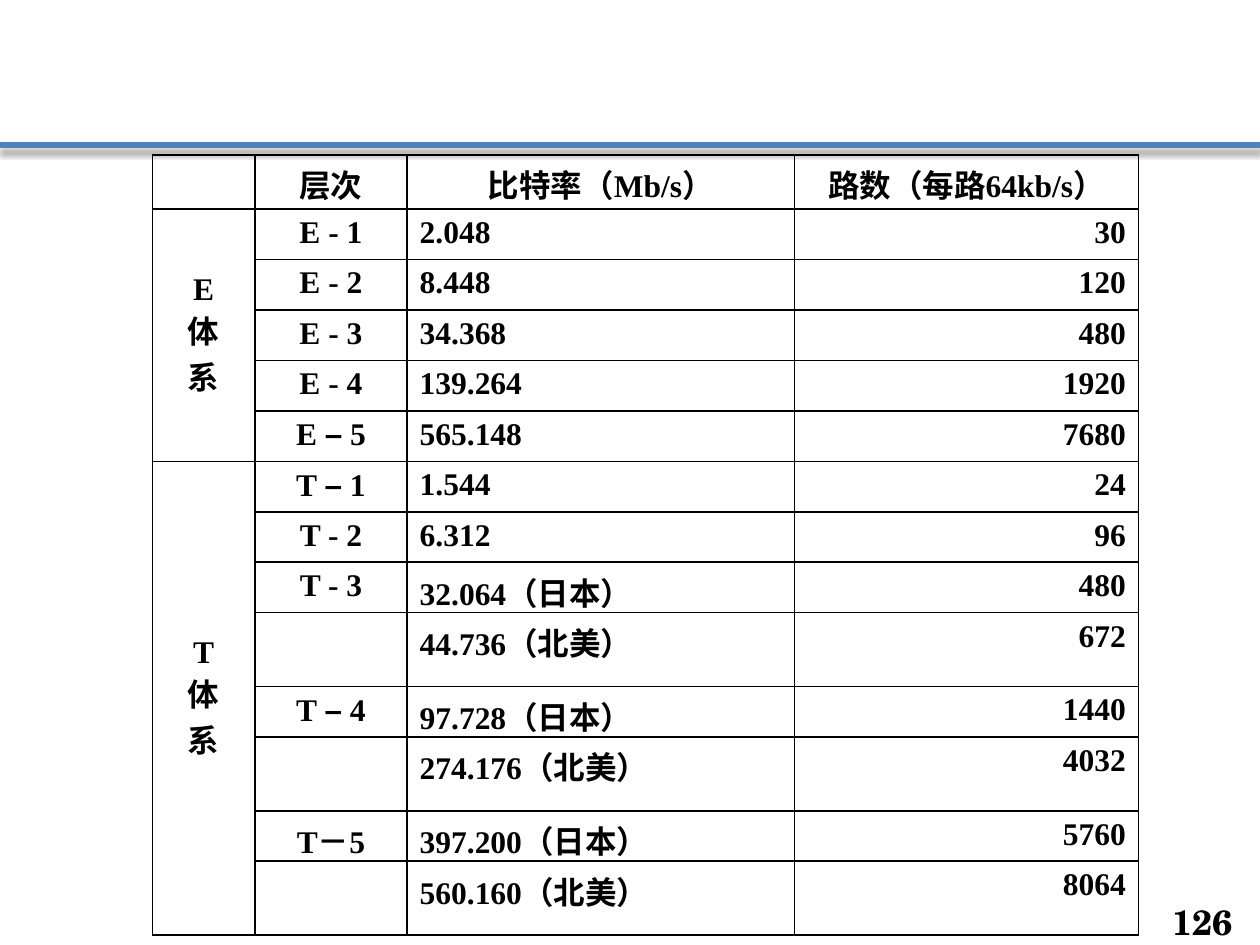
from lxml import etree
from pptx import Presentation
from pptx import util as u
from pptx.dml.color import RGBColor
from pptx.enum import shapes, text
from pptx.oxml import ns

Pt = u.Pt
COLORS = {"ink": "000000", "rule": "4F81BD"}
BODY_FONT, DASH_FONT, NUMBER_FONT = "Times New Roman", "Arial", "TeX Gyre Schola"
LEFT, CENTER, RIGHT = (text.PP_ALIGN.LEFT, text.PP_ALIGN.CENTER,
                       text.PP_ALIGN.RIGHT)

HEADINGS = ["层次", "比特率（Mb/s）", "路数（每路64kb/s）"]
# Each system: its letter, then level, bit rate and channel count per row
SYSTEMS = [
    ("E", [
        ("E - 1", "2.048", "30"),
        ("E - 2", "8.448", "120"),
        ("E - 3", "34.368", "480"),
        ("E - 4", "139.264", "1920"),
        ("E – 5", "565.148", "7680"),
    ]),
    ("T", [
        ("T – 1", "1.544", "24"),
        ("T - 2", "6.312", "96"),
        ("T - 3", "32.064（日本）", "480"),
        ("", "44.736（北美）", "672"),
        ("T – 4", "97.728（日本）", "1440"),
        ("", "274.176（北美）", "4032"),
        ("T－5", "397.200（日本）", "5760"),
        ("", "560.160（北美）", "8064"),
    ]),
]
COLUMN_WIDTHS = [58.5, 87, 221.25, 196.5]
HEADER_HEIGHT, ROW_HEIGHT, TALL_HEIGHT = 31, 25.2, 42.2


def color(name):
    return RGBColor.from_string(COLORS[name])


def add_span(para, words, font, size):
    span = para.add_run()
    span.text = words
    span.font.name = font
    span.font.size = Pt(size)
    span.font.bold = True
    span.font.color.rgb = color("ink")


def write_cell(cell, lines, align):
    frame = cell.text_frame
    for index, line in enumerate(lines):
        para = frame.add_paragraph() if index else frame.paragraphs[0]
        para.alignment = align
        before, dash, after = line.partition("–")
        for words, font in ((before, BODY_FONT), (dash, DASH_FONT),
                            (after, BODY_FONT)):
            if words:
                add_span(para, words, font, 18)


def outline_cell(cell):
    props = cell._tc.get_or_add_tcPr()
    for side in ("lnL", "lnR", "lnT", "lnB"):
        edge = etree.SubElement(props, ns.qn(f"a:{side}"), w=str(Pt(1)))
        fill = etree.SubElement(edge, ns.qn("a:solidFill"))
        etree.SubElement(fill, ns.qn("a:srgbClr"), val=COLORS["ink"])
    cell.fill.background()


def add_rule(page, left, top, width):
    rule = page.shapes.add_connector(shapes.MSO_CONNECTOR.STRAIGHT, Pt(left),
                                     Pt(top), Pt(left + width), Pt(top))
    rule.line.color.rgb = color("rule")
    rule.line.width = Pt(3)
    # Soft shadow straight below the line
    effects = etree.SubElement(rule._element.spPr, ns.qn("a:effectLst"))
    shadow = etree.SubElement(effects, ns.qn("a:outerShdw"),
                              blurRad=str(Pt(4)), dist=str(Pt(3)),
                              dir="5400000", rotWithShape="0")
    tint = etree.SubElement(shadow, ns.qn("a:srgbClr"), val=COLORS["ink"])
    etree.SubElement(tint, ns.qn("a:alpha"), val="43000")


def add_page_number(page, left, top, width, height):
    box = page.shapes.add_textbox(Pt(left), Pt(top), Pt(width), Pt(height))
    frame = box.text_frame
    frame.word_wrap = True
    frame.vertical_anchor = text.MSO_ANCHOR.MIDDLE
    para = frame.paragraphs[0]
    para.alignment = RIGHT
    add_span(para, "126", NUMBER_FONT, 20)


def add_rate_table(page, left, top, width, height):
    row_count = 1 + sum(len(rows) for _, rows in SYSTEMS)
    table = page.shapes.add_table(row_count, len(COLUMN_WIDTHS), Pt(left),
                                  Pt(top), Pt(width), Pt(height)).table
    table.first_row = table.horz_banding = False
    for column, share in zip(table.columns, COLUMN_WIDTHS):
        column.width = Pt(width * share / sum(COLUMN_WIDTHS))

    # Header
    table.rows[0].height = Pt(HEADER_HEIGHT)
    for column, heading in enumerate(HEADINGS, 1):
        write_cell(table.cell(0, column), [heading], CENTER)

    # One merged label and its rows per system
    row = 1
    for letter, entries in SYSTEMS:
        label = table.cell(row, 0)
        label.merge(table.cell(row + len(entries) - 1, 0))
        label.vertical_anchor = text.MSO_ANCHOR.MIDDLE
        write_cell(label, [letter, "体", "系"], CENTER)
        for entry in entries:
            table.rows[row].height = Pt(ROW_HEIGHT if entry[0] else TALL_HEIGHT)
            aligns = (CENTER, LEFT, RIGHT)
            for column, (words, align) in enumerate(zip(entry, aligns), 1):
                write_cell(table.cell(row, column), [words], align)
            row += 1

    for cell in table.iter_cells():
        outline_cell(cell)


def main():
    deck = Presentation()
    deck.slide_width, deck.slide_height = Pt(720), Pt(540)
    page = deck.slides.add_slide(deck.slide_layouts[6])
    add_rule(page, 0, 82.8, 720)
    add_page_number(page, 661.7, 516.2, 49.7, 20.2)
    add_rate_table(page, 87.1, 88.5, 563.5, 445)
    deck.save("out.pptx")


if __name__ == "__main__":
    main()
